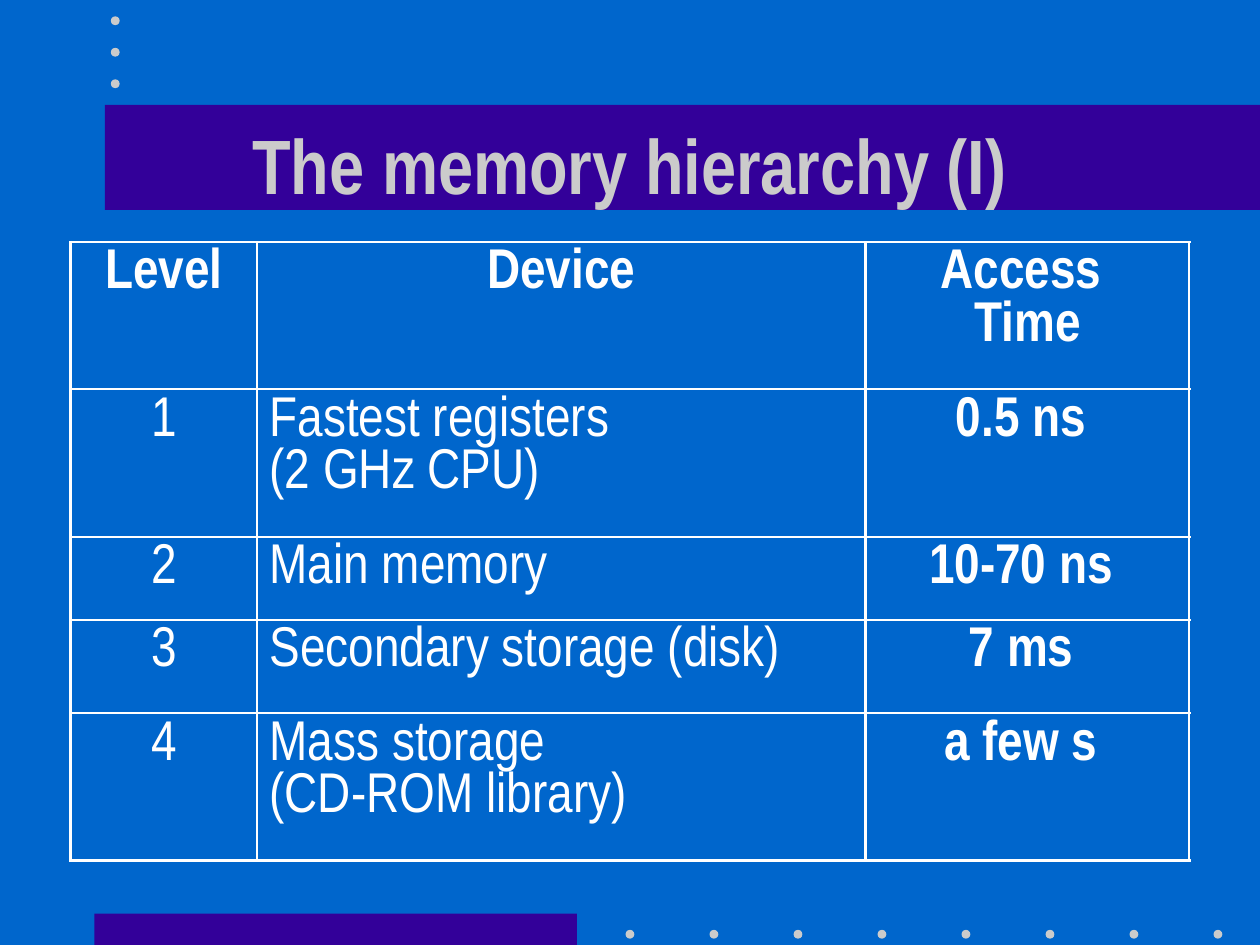
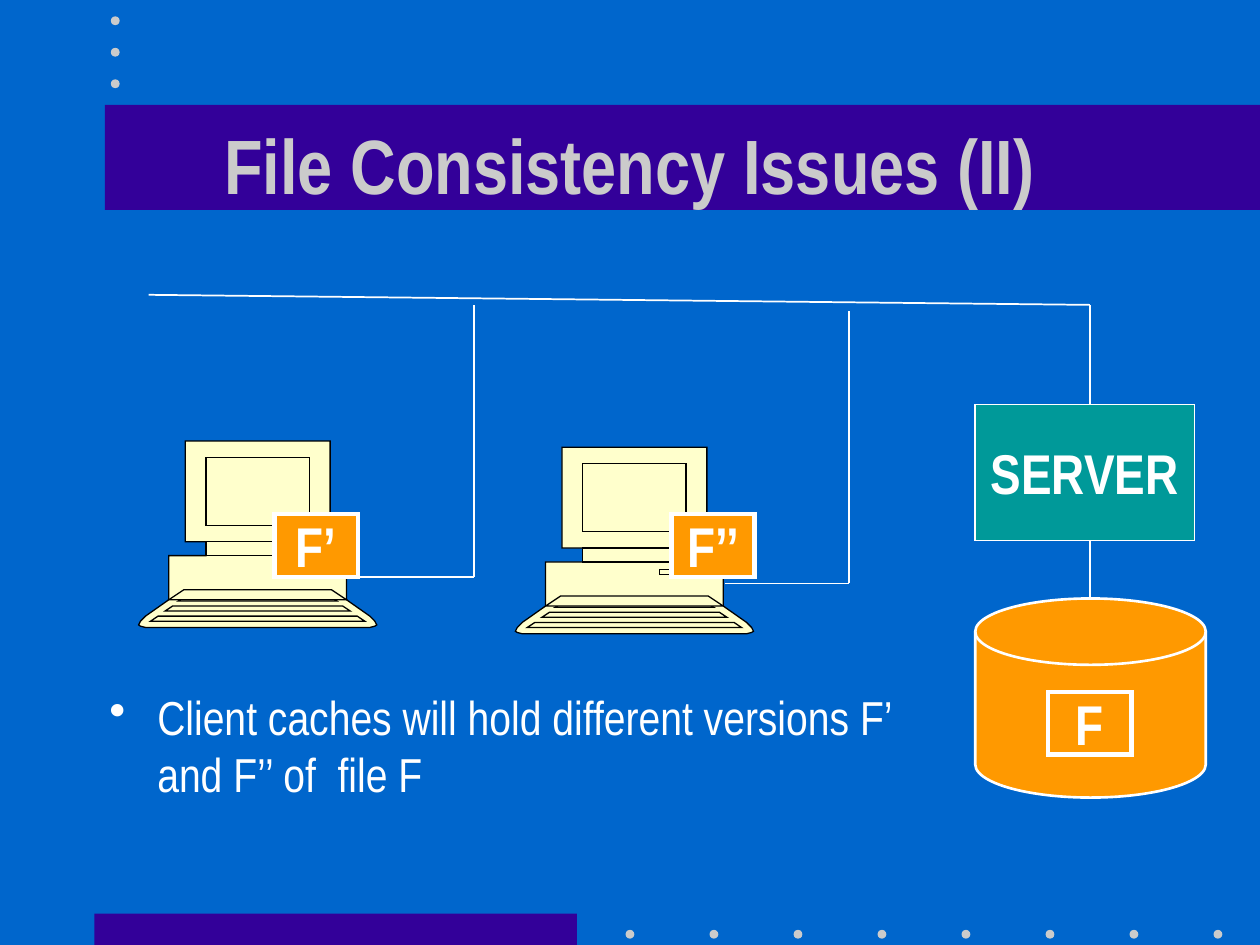
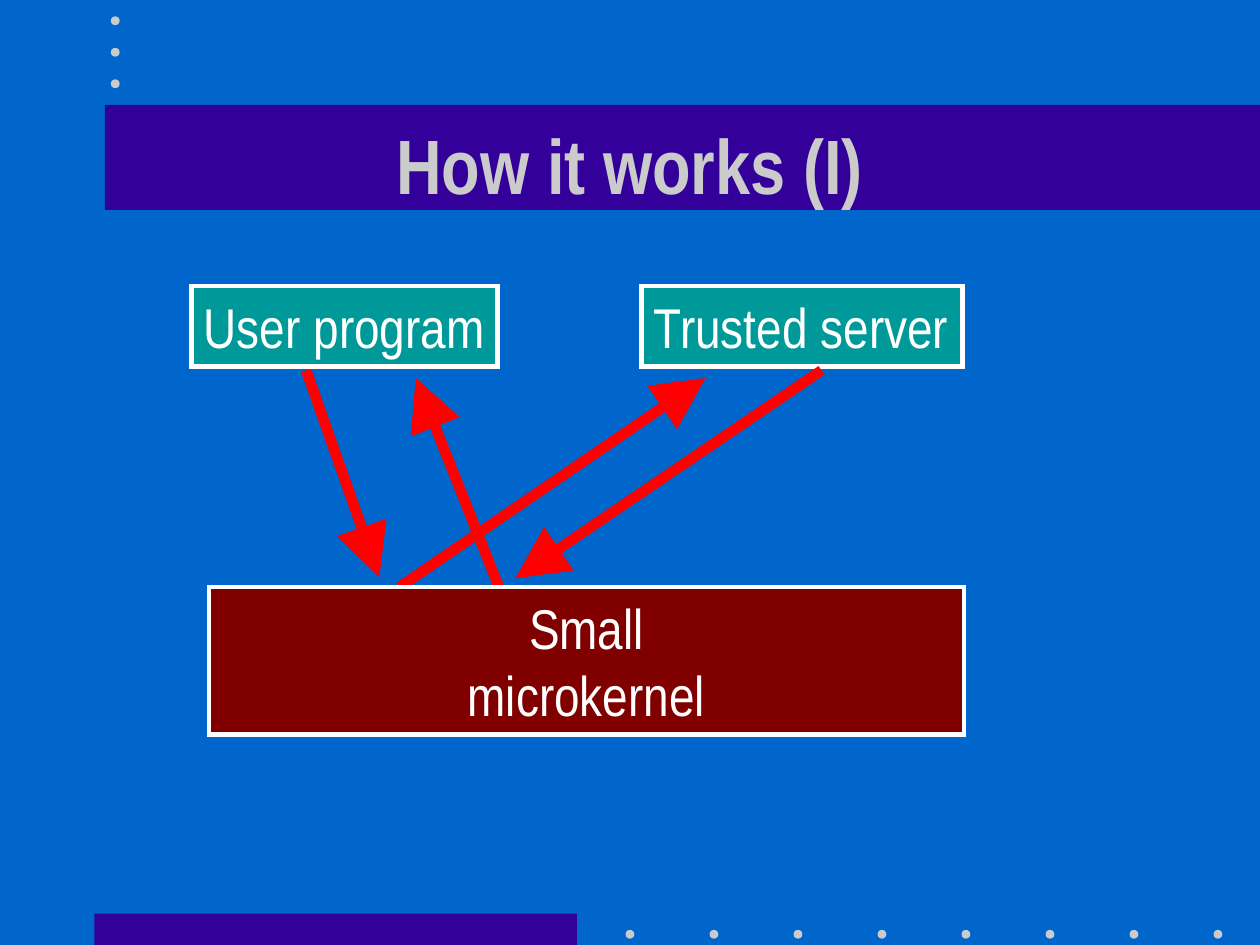
from copy import deepcopy
from dataclasses import dataclass, field
from typing import Any, NamedTuple

from lxml.etree import SubElement
from pptx import Presentation
from pptx.dml.color import RGBColor
from pptx.enum.shapes import MSO_CONNECTOR, MSO_SHAPE
from pptx.enum.text import MSO_ANCHOR, PP_ALIGN
from pptx.oxml.ns import qn
from pptx.slide import Slide
from pptx.text.text import TextFrame
from pptx.util import Emu, Inches, Pt

SLIDE_WIDTH, SLIDE_HEIGHT = Inches(10), Inches(7.5)
GRID_COLUMNS, GRID_ROWS = 100, 75

BLUE = RGBColor(0x00, 0x66, 0xCC)
PURPLE = RGBColor(0x33, 0x00, 0x99)
SILVER = RGBColor(0xCB, 0xCB, 0xCB)
WHITE = RGBColor(0xFF, 0xFF, 0xFF)
BLACK = RGBColor(0x00, 0x00, 0x00)
CREAM = RGBColor(0xFF, 0xFF, 0xCC)
TEAL = RGBColor(0x00, 0x99, 0x99)
ORANGE = RGBColor(0xFF, 0x99, 0x00)
MAROON = RGBColor(0x80, 0x00, 0x00)
RED = RGBColor(0xFF, 0x00, 0x00)


def columns(count: float) -> Emu:
    return Emu(round(SLIDE_WIDTH * count / GRID_COLUMNS))


def rows(count: float) -> Emu:
    return Emu(round(SLIDE_HEIGHT * count / GRID_ROWS))


class Area(NamedTuple):
    left: float
    top: float
    width: float
    height: float

    def lengths(self) -> tuple[Emu, Emu, Emu, Emu]:
        return columns(self.left), rows(self.top), columns(self.width), rows(self.height)


@dataclass(frozen=True)
class TextStyle:
    size: float = 32
    bold: bool = False
    color: RGBColor = WHITE
    paragraph: dict[str, Any] = field(default_factory=dict)
    frame: dict[str, Any] = field(default_factory=dict)


@dataclass(frozen=True)
class Block:
    area: Area
    fill: RGBColor
    line_width: float = 0
    text: str = ""
    style: TextStyle = TextStyle()
    preset: MSO_SHAPE = MSO_SHAPE.RECTANGLE


class Link(NamedTuple):
    start: tuple[float, float]
    end: tuple[float, float]
    color: RGBColor = WHITE
    width: float = 1
    arrow: bool = False


class Computer(NamedTuple):
    center: float
    top: float


CENTERED = {"alignment": PP_ALIGN.CENTER}
MIDDLE = {"vertical_anchor": MSO_ANCHOR.MIDDLE}
TITLE = TextStyle(44, True, SILVER, CENTERED, {"word_wrap": True, **MIDDLE})
BODY = TextStyle(27.2, paragraph={"space_before": Pt(8)}, frame={"word_wrap": True})
BADGE = TextStyle(bold=True, paragraph=CENTERED, frame={"word_wrap": False, **MIDDLE})
LABEL = TextStyle(
    paragraph={"alignment": PP_ALIGN.LEFT},
    frame={"word_wrap": False, "vertical_anchor": MSO_ANCHOR.TOP},
)
KERNEL = TextStyle(paragraph=CENTERED, frame={"word_wrap": True, "vertical_anchor": MSO_ANCHOR.TOP})
HEADING_CELL = TextStyle(bold=True, paragraph=CENTERED)
LEVEL_CELL = TextStyle(paragraph=CENTERED)
DEVICE_CELL = TextStyle()

DOT = 0.7
TITLE_AREA = Area(7.5, 6.7, 85, 12.5)
DECORATION = (
    Block(Area(7.5, 72.5, 38.3, 2.5), PURPLE),
    *(
        Block(Area(49.65 + step * 20 / 3, 73.8, DOT, DOT), SILVER, preset=MSO_SHAPE.OVAL)
        for step in range(8)
    ),
    Block(Area(8.33, 8.33, 91.67, 8.33), PURPLE),
    *(
        Block(Area(8.8, 1.3 + step * 2.5, DOT, DOT), SILVER, preset=MSO_SHAPE.OVAL)
        for step in range(3)
    ),
)

MEMORY_AREA = Area(5.6, 19.2, 88.8, 49.1)
MEMORY_COLUMNS = (14.8, 48.3, 25.7)
MEMORY_ROWS = (11.7, 11.7, 6.6, 7.4, 11.7)
MEMORY_LEVELS = (
    ("Level", "Device", "Access \nTime"),
    ("1", "Fastest registers\n(2 GHz CPU)", "0.5 ns "),
    ("2", "Main memory", "10-70 ns "),
    ("3", "Secondary storage (disk)", "7 ms "),
    ("4", "Mass storage\n(CD-ROM library)", "a few s "),
)

NETWORK = (
    Link((11.8, 23.4), (86.5, 24.2)),
    Link((27.6, 45.8), (37.6, 45.8)),
    Link((37.6, 45.8), (37.6, 24.2)),
    Link((57.5, 46.3), (67.4, 46.3)),
    Link((67.4, 46.3), (67.4, 24.7)),
    Link((86.5, 24.2), (86.5, 48.3)),
)
COMPUTERS = (Computer(20.45, 35), Computer(50.35, 35.5))
BADGE_SIZE = (6.6, 5)
FILE_BLOCKS = (
    Block(Area(77.4, 32.1, 17.4, 10.8), TEAL, 1, "SERVER", BADGE),
    Block(
        Area(77.4, 47.5, 18.3, 15.8), ORANGE, 1.5, preset=MSO_SHAPE.FLOWCHART_MAGNETIC_DISK
    ),
    *(
        Block(Area(left, top, *BADGE_SIZE), ORANGE, 2.5, text, BADGE)
        for left, top, text in ((83.2, 54.9, "F"), (21.8, 40.8, "F’"), (53.3, 40.8, "F’’"))
    ),
)

MESSAGES_BEHIND = (
    Link((31.7, 46.6), (56, 30), RED, 6, True),
    Link((24.3, 29.4), (30.1, 45.8), RED, 6, True),
    Link((39.6, 46.6), (33, 30), RED, 6, True),
)
MESSAGE_IN_FRONT = Link((65.2, 29.4), (40.9, 45.9), RED, 6, True)
KERNEL_BLOCKS = (
    Block(Area(50.9, 22.7, 25.5, 6.4), TEAL, 2.5, "Trusted server", LABEL),
    Block(Area(15.2, 22.7, 24.3, 6.4), TEAL, 2.5, "User program", LABEL),
    Block(Area(16.6, 46.6, 59.9, 11.7), MAROON, 2.5, "Small\nmicrokernel", KERNEL),
)

Contour = list[tuple[float, float]]


def mirrored(half: Contour) -> Contour:
    return half + [(-across, down) for across, down in reversed(half)]


COMPUTER_CONTOURS: tuple[Contour, ...] = (
    mirrored([
        (5.75, 0), (5.75, 8), (4.1, 8), (4.1, 9.1), (7.05, 9.1), (7.05, 12.6),
        (8.9, 13.9), (9.3, 14.3), (9.45, 14.6), (9.3, 14.7), (8.9, 14.8),
    ]),
    *(
        mirrored([(half, top), (half + 0.6, top + 0.4)])
        for half, top in ((5.7, 12.3), (6.75, 13.1), (7.9, 13.9))
    ),
    mirrored([(7.05, 12.6), (5.85, 11.8)]),
    [(2, 9.7), (2, 10.1), (6.1, 10.1), (6.1, 9.7)],
    *(mirrored([(4.1, top), (4.1, bottom)]) for top, bottom in ((1.3, 6.7), (8, 9.1))),
)


def write_text(frame: TextFrame, text: str, style: TextStyle) -> None:
    for name, value in style.frame.items():
        setattr(frame, name, value)
    para = frame.paragraphs[0]
    para.text = text
    for name, value in style.paragraph.items():
        setattr(para, name, value)
    span_format = {"name": "Arial Narrow", "size": Pt(style.size), "bold": style.bold}
    for span in para.runs:
        for name, value in span_format.items():
            setattr(span.font, name, value)
        span.font.color.rgb = style.color


def add_text(page: Slide, area: Area, text: str, style: TextStyle) -> TextFrame:
    frame = page.shapes.add_textbox(*area.lengths()).text_frame
    write_text(frame, text, style)
    return frame


def add_bullet(page: Slide, area: Area, text: str) -> None:
    properties = add_text(page, area, text, BODY).paragraphs[0]._p.get_or_add_pPr()
    for name, length in {"marL": columns(3.8), "indent": -columns(3.8)}.items():
        properties.set(name, str(length))
    bullet_color = SubElement(properties, qn("a:buClr"))
    SubElement(bullet_color, qn("a:srgbClr"), val=str(WHITE))
    SubElement(properties, qn("a:buChar"), char="•")


def paint(shape: Any, fill: RGBColor, line: RGBColor, line_width: float) -> None:
    shape.shadow.inherit = False
    shape.fill.solid()
    shape.fill.fore_color.rgb = fill
    if line_width:
        shape.line.color.rgb = line
        shape.line.width = Pt(line_width)
        SubElement(shape.line._get_or_add_ln(), qn("a:miter"), lim="800000")
    else:
        shape.line.fill.background()


def add_block(page: Slide, block: Block) -> None:
    shape = page.shapes.add_shape(block.preset, *block.area.lengths())
    paint(shape, block.fill, WHITE, block.line_width)
    if block.text:
        write_text(shape.text_frame, block.text, block.style)


def add_link(page: Slide, link: Link) -> None:
    (left, top), (right, bottom) = link.start, link.end
    connector = page.shapes.add_connector(
        MSO_CONNECTOR.STRAIGHT, columns(left), rows(top), columns(right), rows(bottom)
    )
    connector.line.color.rgb = link.color
    connector.line.width = Pt(link.width)
    if link.arrow:
        head = {"type": "triangle", "w": "lg", "len": "lg"}
        SubElement(connector.line._get_or_add_ln(), qn("a:tailEnd"), head)
    SubElement(connector._element.spPr, qn("a:effectLst"))


def split_contours(shape: Any) -> None:
    joined = shape._element.spPr.find(".//" + qn("a:path"))
    path_list = joined.getparent()
    steps = list(joined)
    for step in steps:
        joined.remove(step)
    for step in steps:
        if step.tag == qn("a:moveTo"):
            contour = deepcopy(joined)
            path_list.append(contour)
        contour.append(step)
    path_list.remove(joined)


def add_computer(page: Slide, computer: Computer) -> None:
    outline, *details = (
        [(columns(computer.center + across), rows(computer.top + down)) for across, down in contour]
        for contour in COMPUTER_CONTOURS
    )
    builder = page.shapes.build_freeform(*outline[0])
    builder.add_line_segments(outline[1:], close=True)
    for detail in details:
        builder.move_to(*detail[0])
        builder.add_line_segments(detail[1:], close=True)
    shape = builder.convert_to_shape()
    split_contours(shape)
    paint(shape, CREAM, BLACK, 0.75)


def add_borders(cell: Any) -> None:
    properties = cell._tc.get_or_add_tcPr()
    for position, side in enumerate(("lnL", "lnR", "lnT", "lnB")):
        border = SubElement(properties, qn(f"a:{side}"), w=str(Pt(1.47)))
        fill = SubElement(border, qn("a:solidFill"))
        SubElement(fill, qn("a:srgbClr"), val=str(WHITE))
        properties.insert(position, border)


def cell_style(row: int, column: int) -> TextStyle:
    if row == 0 or column == 2:
        return HEADING_CELL
    return LEVEL_CELL if column == 0 else DEVICE_CELL


def add_memory_table(page: Slide) -> None:
    size = len(MEMORY_ROWS), len(MEMORY_COLUMNS)
    table = page.shapes.add_table(*size, *MEMORY_AREA.lengths()).table
    for name in ("first_row", "horz_banding"):
        setattr(table, name, False)
    for column, width in zip(table.columns, MEMORY_COLUMNS):
        column.width = columns(width)
    for row, height in zip(table.rows, MEMORY_ROWS):
        row.height = rows(height)
    for row_index, texts in enumerate(MEMORY_LEVELS):
        for column_index, text in enumerate(texts):
            cell = table.cell(row_index, column_index)
            cell.fill.background()
            add_borders(cell)
            write_text(cell.text_frame, text, cell_style(row_index, column_index))


def add_page(deck: Any, title: str) -> Slide:
    page = deck.slides.add_slide(deck.slide_layouts[6])
    page.background.fill.solid()
    page.background.fill.fore_color.rgb = BLUE
    for block in DECORATION:
        add_block(page, block)
    add_text(page, TITLE_AREA, title, TITLE)
    return page


def add_consistency_page(deck: Any) -> None:
    page = add_page(deck, "File Consistency Issues (II)")
    add_bullet(
        page,
        Area(7.7, 54.1, 64.9, 10.8),
        "Client caches will hold different versions F’ and F’’ of  file F",
    )
    for link in NETWORK:
        add_link(page, link)
    for computer in COMPUTERS:
        add_computer(page, computer)
    for block in FILE_BLOCKS:
        add_block(page, block)


def add_kernel_page(deck: Any) -> None:
    page = add_page(deck, "How it works (I)")
    for link in MESSAGES_BEHIND:
        add_link(page, link)
    for block in KERNEL_BLOCKS:
        add_block(page, block)
    add_link(page, MESSAGE_IN_FRONT)


def main() -> None:
    deck = Presentation()
    deck.slide_width, deck.slide_height = SLIDE_WIDTH, SLIDE_HEIGHT
    add_memory_table(add_page(deck, "The memory hierarchy (I)"))
    add_consistency_page(deck)
    add_kernel_page(deck)
    deck.save("out.pptx")


if __name__ == "__main__":
    main()
